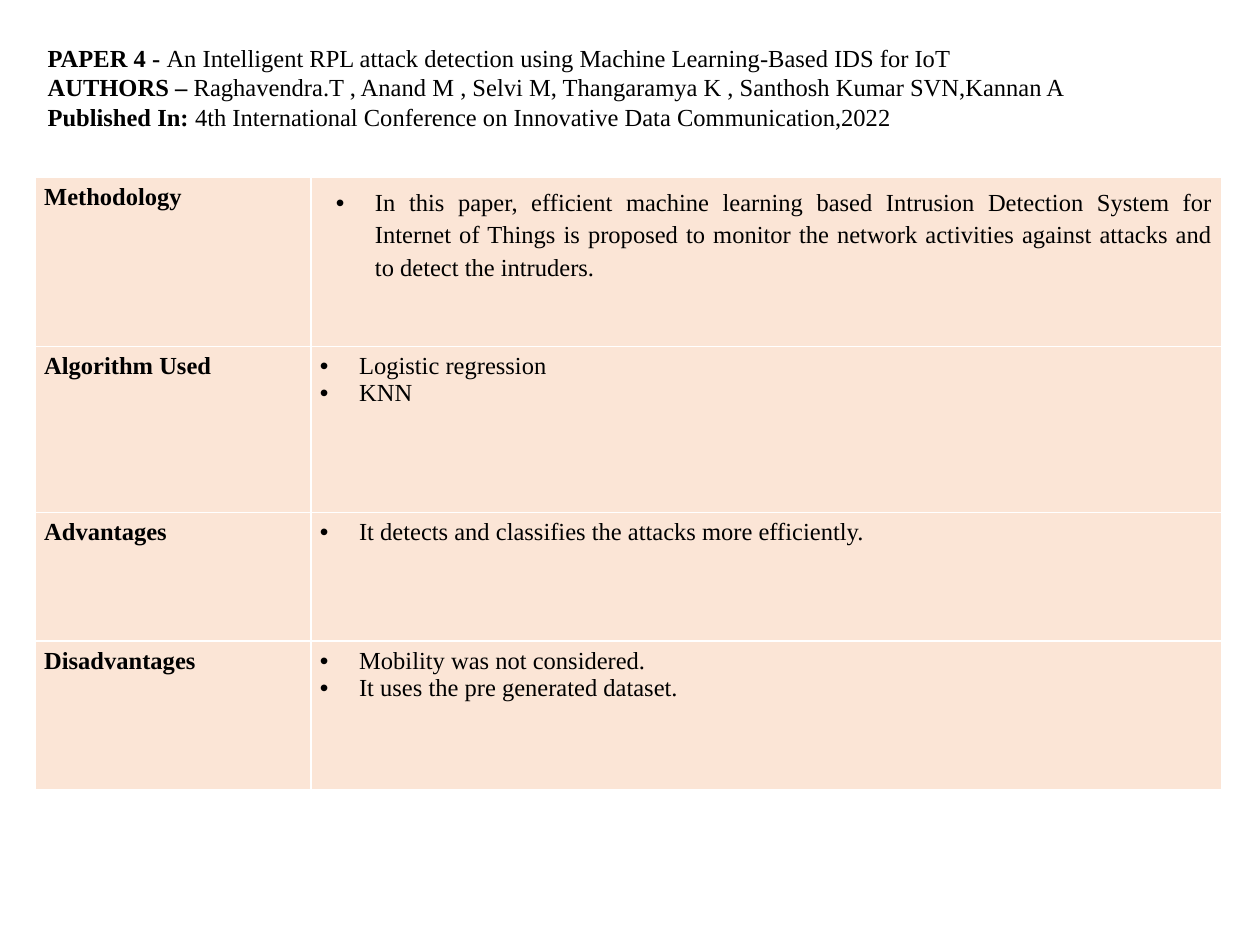
from dataclasses import dataclass

from lxml.etree import SubElement
from pptx import Presentation
from pptx.dml.color import RGBColor
from pptx.enum.text import MSO_AUTO_SIZE, PP_ALIGN
from pptx.oxml import parse_xml
from pptx.oxml.ns import nsdecls, qn
from pptx.util import Cm, Length, Pt


@dataclass(frozen=True)
class Theme:
    font: str = "Times New Roman"
    size: Length = Pt(14)
    border_width: Length = Pt(1)
    ink: str = "000000"
    cell: str = "FBE5D6"
    border: str = "FFFFFF"


@dataclass(frozen=True)
class Citation:
    label: str
    detail: str


@dataclass(frozen=True)
class ReviewRow:
    label: str
    points: tuple[str, ...]
    height: Length
    indent: Length = Cm(0.79)
    line_spacing: float = 1.0


THEME = Theme()
HANGING = Cm(0.79)
LEFT = Cm(0.71)
COLUMN_WIDTHS = (Cm(5.56), Cm(18.36))

CITATIONS = (
    Citation("PAPER 4 - ", "An Intelligent RPL attack detection using Machine Learning-Based IDS for IoT"),
    Citation("AUTHORS – ", "Raghavendra.T , Anand M , Selvi M, Thangaramya K , Santhosh Kumar SVN,Kannan A"),
    Citation("Published In: ", "4th International Conference on Innovative Data Communication,2022"),
)

REVIEW_ROWS = (
    ReviewRow(
        "Methodology",
        ("In this paper, efficient machine learning based Intrusion Detection System for "
         "Internet of Things is proposed to monitor the network activities against attacks "
         "and to detect the intruders.",),
        Cm(3.4), indent=Cm(1.11), line_spacing=1.2,
    ),
    ReviewRow("Algorithm Used", ("Logistic regression", "KNN"), Cm(3.35)),
    ReviewRow("Advantages", ("It detects and classifies the attacks more efficiently.",), Cm(2.59)),
    ReviewRow("Disadvantages", ("Mobility was not considered.", "It uses the pre generated dataset."), Cm(3)),
)


def apply_format(target, values: dict) -> None:
    for name, value in values.items():
        setattr(target, name, value)


def add_span(para, text: str, bold: bool = False) -> None:
    span = para.add_run()
    span.text = text
    apply_format(span.font, {"name": THEME.font, "size": THEME.size, "bold": bold})
    span.font.color.rgb = RGBColor.from_string(THEME.ink)


def get_paragraph(frame, index: int):
    return frame.add_paragraph() if index else frame.paragraphs[0]


def add_bullet(para, indent: Length) -> None:
    properties = para._p.get_or_add_pPr()
    properties.set("marL", str(indent))
    properties.set("indent", str(-HANGING))
    SubElement(properties, qn("a:buFont"), typeface="Arial")
    SubElement(properties, qn("a:buChar"), char="•")


def style_cell(cell) -> None:
    apply_format(cell, {
        "margin_left": Cm(0.18), "margin_right": Cm(0.18),
        "margin_top": Cm(0.13), "margin_bottom": Cm(0.13),
    })
    cell.fill.solid()
    cell.fill.fore_color.rgb = RGBColor.from_string(THEME.cell)
    properties = cell._tc.get_or_add_tcPr()
    for position, side in enumerate("LRTB"):
        properties.insert(position, parse_xml(
            f'<a:ln{side} {nsdecls("a")} w="{THEME.border_width}"><a:solidFill>'
            f'<a:srgbClr val="{THEME.border}"/></a:solidFill></a:ln{side}>'
        ))


def draw_review_table(page, rows: tuple[ReviewRow, ...]) -> None:
    table = page.shapes.add_table(
        len(rows), len(COLUMN_WIDTHS), LEFT, Cm(3.58),
        sum(COLUMN_WIDTHS), sum(row.height for row in rows),
    ).table
    apply_format(table, {"first_row": False, "horz_banding": False})
    for column, width in zip(table.columns, COLUMN_WIDTHS):
        column.width = width
    for index, row in enumerate(rows):
        table.rows[index].height = row.height
        label_cell, points_cell = table.rows[index].cells
        style_cell(label_cell)
        style_cell(points_cell)
        add_span(label_cell.text_frame.paragraphs[0], row.label, bold=True)
        for number, point in enumerate(row.points):
            para = get_paragraph(points_cell.text_frame, number)
            apply_format(para, {"alignment": PP_ALIGN.JUSTIFY, "line_spacing": row.line_spacing})
            add_bullet(para, row.indent)
            add_span(para, point)


def draw_citations(page, citations: tuple[Citation, ...]) -> None:
    box = page.shapes.add_textbox(LEFT, Cm(0.74), Cm(23.34), Cm(2.06))
    apply_format(box.text_frame, {"word_wrap": True, "auto_size": MSO_AUTO_SIZE.SHAPE_TO_FIT_TEXT})
    for number, citation in enumerate(citations):
        para = get_paragraph(box.text_frame, number)
        para.alignment = PP_ALIGN.JUSTIFY
        add_span(para, citation.label, bold=True)
        add_span(para, citation.detail)


def main() -> None:
    deck = Presentation()
    apply_format(deck, {"slide_width": Cm(25.4), "slide_height": Cm(19.05)})
    page = deck.slides.add_slide(deck.slide_layouts[6])
    draw_review_table(page, REVIEW_ROWS)
    draw_citations(page, CITATIONS)
    deck.save("out.pptx")


if __name__ == "__main__":
    main()
